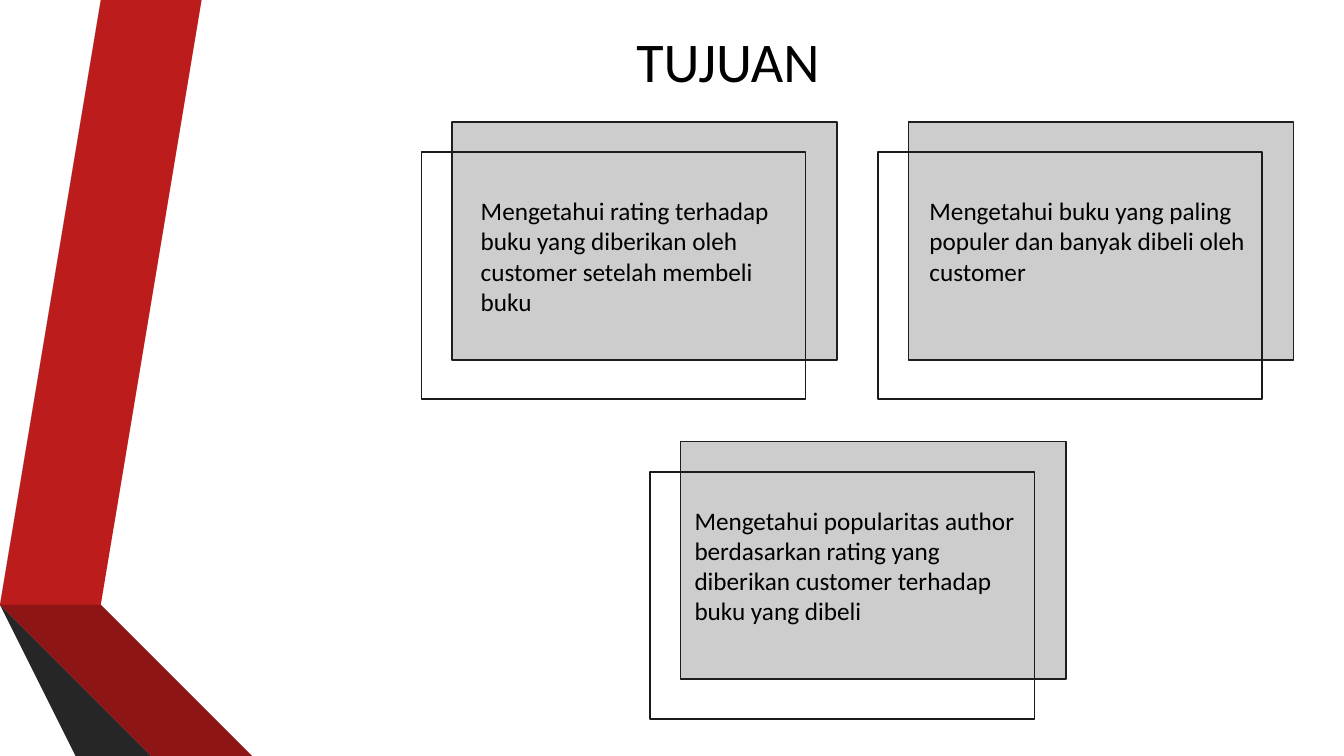
from pptx import Presentation
from pptx.dml.color import RGBColor
from pptx.enum.shapes import MSO_SHAPE as Shape
from pptx.enum.text import MSO_ANCHOR as Anchor, PP_ALIGN as Align
from pptx.util import Inches, Pt

BLACK = RGBColor(0, 0, 0)
PANEL = RGBColor(0xCD, 0xCD, 0xCD)
EDGE = RGBColor(0x1E, 0x1E, 0x1E)
FRAME = RGBColor(0x1A, 0x1A, 0x1A)
RED = RGBColor(0xBC, 0x1C, 0x1C)
GREY = RGBColor(0x59, 0x59, 0x59)
COAL = RGBColor(0x26, 0x26, 0x26)
WINE = RGBColor(0x5E, 0x0E, 0x0E)
MAROON = RGBColor(0x8D, 0x15, 0x15)
SLATE = RGBColor(0x40, 0x40, 0x40)

TITLE = "TUJUAN"
RIBBONS = [
    (RED, [(0.5, 5.78), (0.77, 5.83), (1.73, 0), (1.45, 0)]),
    (GREY, [(1.39, 0), (1.11, 0), (0.16, 5.73), (0.44, 5.77)]),
    (COAL, [(0.16, 5.73), (1.45, 7.5), (1.51, 7.5)]),
    (WINE, [(0.5, 5.79), (2.08, 7.5), (2.14, 7.5)]),
    (MAROON, [(0.5, 5.79), (2.14, 7.5), (2.83, 7.5), (0.77, 5.83), (0.5, 5.78)]),
    (SLATE, [(2.02, 7.5), (0.48, 5.83), (0.43, 5.78), (0.44, 5.77),
             (0.16, 5.73), (1.51, 7.5)]),
]
GOALS = [
    (4.48, 1.21, "Mengetahui rating terhadap buku yang diberikan oleh customer "
     "setelah membeli buku", (4.67, 1.89, 3.26, 1.31)),
    (9.01, 1.21, "Mengetahui buku yang paling populer dan banyak dibeli oleh "
     "customer", (9.12, 1.89, 3.35, 1.01)),
    (6.75, 4.38, "Mengetahui popularitas author berdasarkan rating yang diberikan "
     "customer terhadap buku yang dibeli", (6.79, 4.96, 3.44, 1.31)),
]
SHIFT = 0.3

deck = Presentation()
deck.slide_width, deck.slide_height = Inches(13.33), Inches(7.5)
slide = deck.slides.add_slide(deck.slide_layouts[6])
shapes = slide.shapes


def add_text(text, box, size=18, align=Align.LEFT, anchor=Anchor.TOP):
    frame = shapes.add_textbox(*map(Inches, box)).text_frame
    frame.word_wrap = True
    frame.vertical_anchor = anchor
    para = frame.paragraphs[0]
    para.alignment = align
    run = para.add_run()
    run.text = text
    run.font.name = "Calibri"
    run.font.size = Pt(size)
    run.font.color.rgb = BLACK


def add_rect(box, line, fill=None):
    rect = shapes.add_shape(Shape.RECTANGLE, *map(Inches, box))
    rect.shadow.inherit = False
    if fill is None:
        rect.fill.background()
    else:
        rect.fill.solid()
        rect.fill.fore_color.rgb = fill
    rect.line.color.rgb = line
    rect.line.width = Pt(1.25)


def add_ribbon(color, points):
    pen = shapes.build_freeform(*points[0], scale=Inches(1))
    pen.add_line_segments(points[1:], close=True)
    ribbon = pen.convert_to_shape()
    ribbon.shadow.inherit = False
    ribbon.fill.solid()
    ribbon.fill.fore_color.rgb = color
    ribbon.line.fill.background()


for color, points in RIBBONS:
    add_ribbon(color, points)

for left, top, text, box in GOALS:
    add_rect((left, top, 3.82, 2.36), EDGE, PANEL)
    add_rect((left - SHIFT, top + SHIFT, 3.81, 2.45), FRAME)
    add_text(text, box)

add_text(TITLE, (5.21, 0.17, 4.02, 0.85), size=40, align=Align.CENTER,
         anchor=Anchor.MIDDLE)

deck.save("out.pptx")
